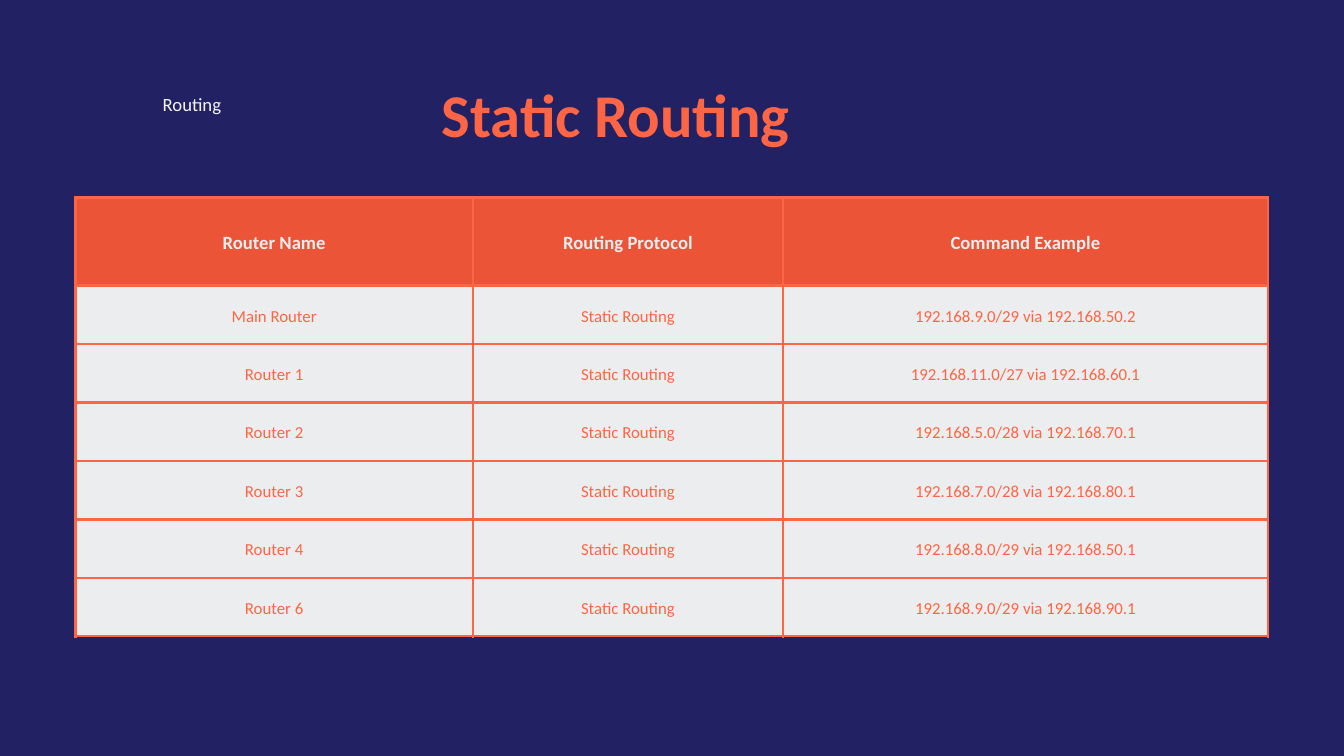
"""Build the static routing slide with its router table."""
from dataclasses import dataclass

from lxml import etree
from pptx import Presentation
from pptx.dml.color import RGBColor
from pptx.enum.text import MSO_ANCHOR, MSO_AUTO_SIZE, PP_ALIGN
from pptx.oxml.ns import qn
from pptx.slide import Slide
from pptx.table import _Cell
from pptx.text.text import TextFrame
from pptx.util import Inches, Pt

LEFT, CENTER = PP_ALIGN.LEFT, PP_ALIGN.CENTER
TOP, MIDDLE = MSO_ANCHOR.TOP, MSO_ANCHOR.MIDDLE
NO_AUTOFIT = MSO_AUTO_SIZE.NONE
TITLE_ONLY = 5

NAVY, ORANGE, RUST = "212163", "FE6544", "EB5436"
PALE, WHITE = "ECEDEF", "F5F5F5"
FONT = "Calibri"
BORDER_WIDTH = Pt(3)
COLUMN_WIDTHS = (5.92, 4.61, 7.22)
HEADER_HEIGHT, ROUTE_HEIGHT = 1.31, 0.87
HEADINGS = ("Router Name", "Routing Protocol", "Command Example")
PROTOCOL = "Static Routing"


@dataclass(frozen=True)
class Route:
    router: str
    command: str


@dataclass(frozen=True)
class RowStyle:
    size: float
    color: str
    fill: str
    bold: bool


ROUTES = (
    Route("Main Router", "192.168.9.0/29 via 192.168.50.2"),
    Route("Router 1", "192.168.11.0/27 via 192.168.60.1"),
    Route("Router 2", "192.168.5.0/28 via 192.168.70.1"),
    Route("Router 3", "192.168.7.0/28 via 192.168.80.1"),
    Route("Router 4", "192.168.8.0/29 via 192.168.50.1"),
    Route("Router 6", "192.168.9.0/29 via 192.168.90.1"),
)
HEADER_STYLE = RowStyle(20, PALE, RUST, True)
ROUTE_STYLE = RowStyle(18, ORANGE, PALE, False)


def rgb(value: str) -> RGBColor:
    return RGBColor.from_string(value)


def write(frame: TextFrame, text: str, *, size: float, color: str, spacing: float,
          bold: bool = False, align: PP_ALIGN = LEFT) -> None:
    paragraph = frame.paragraphs[0]
    paragraph.alignment = align
    paragraph.line_spacing = Pt(spacing)
    run = paragraph.add_run()
    run.text = text
    run.font.name = FONT
    run.font.size = Pt(size)
    run.font.bold = bold
    run.font.color.rgb = rgb(color)


def clear_layout(frame: TextFrame) -> None:
    frame.margin_left = frame.margin_right = frame.margin_top = frame.margin_bottom = 0
    frame.vertical_anchor = TOP
    frame.word_wrap = True
    frame.auto_size = NO_AUTOFIT


def add_borders(cell: _Cell) -> None:
    properties = cell._tc.get_or_add_tcPr()
    for side in ("a:lnL", "a:lnR", "a:lnT", "a:lnB"):
        line = etree.SubElement(properties, qn(side), w=str(BORDER_WIDTH))
        fill = etree.SubElement(line, qn("a:solidFill"))
        etree.SubElement(fill, qn("a:srgbClr"), val=ORANGE)


def fill_cell(cell: _Cell, text: str, style: RowStyle) -> None:
    add_borders(cell)
    cell.fill.solid()
    cell.fill.fore_color.rgb = rgb(style.fill)
    cell.vertical_anchor = MIDDLE
    cell.margin_left = cell.margin_right = Inches(0.21)
    cell.margin_top = cell.margin_bottom = Inches(0.21)
    write(cell.text_frame, text, size=style.size, color=style.color,
          spacing=style.size * 1.4, bold=style.bold, align=CENTER)


def add_heading(slide: Slide) -> None:
    title = slide.shapes.title
    title.left, title.top = Inches(6.57), Inches(1.04)
    title.width, title.height = Inches(6.85), Inches(1.16)
    clear_layout(title.text_frame)
    write(title.text_frame, "Static Routing", size=65, color=ORANGE, spacing=85.8, bold=True)


def add_topic(slide: Slide) -> None:
    topic = slide.shapes.add_textbox(Inches(2.42), Inches(1.32), Inches(2.08), Inches(0.37))
    clear_layout(topic.text_frame)
    write(topic.text_frame, "Routing", size=20, color=WHITE, spacing=28)


def add_routing_table(slide: Slide) -> None:
    rows = [HEADINGS] + [(route.router, PROTOCOL, route.command) for route in ROUTES]
    heights = [HEADER_HEIGHT] + [ROUTE_HEIGHT] * len(ROUTES)
    table = slide.shapes.add_table(
        len(rows), len(HEADINGS), Inches(1.12), Inches(2.94),
        Inches(sum(COLUMN_WIDTHS)), Inches(sum(heights))).table
    for column, width in zip(table.columns, COLUMN_WIDTHS):
        column.width = Inches(width)
    for index, (row, height, texts) in enumerate(zip(table.rows, heights, rows)):
        row.height = Inches(height)
        style = ROUTE_STYLE if index else HEADER_STYLE
        for cell, text in zip(row.cells, texts):
            fill_cell(cell, text, style)


def main() -> None:
    deck = Presentation()
    deck.slide_width, deck.slide_height = Inches(20), Inches(11.25)
    slide = deck.slides.add_slide(deck.slide_layouts[TITLE_ONLY])
    slide.background.fill.solid()
    slide.background.fill.fore_color.rgb = rgb(NAVY)
    add_routing_table(slide)
    add_heading(slide)
    add_topic(slide)
    deck.save("out.pptx")


if __name__ == "__main__":
    main()
